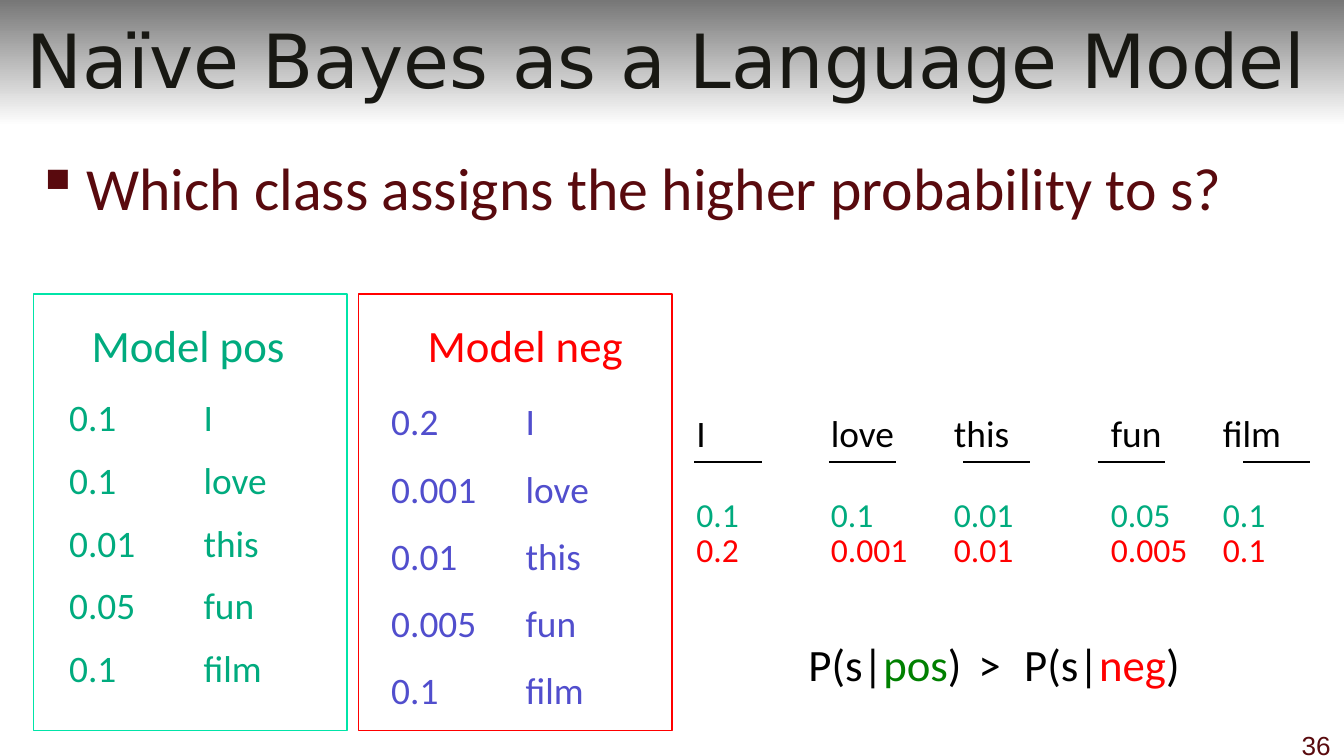
"""Build the slide that compares two naïve Bayes classes as language models."""
from dataclasses import dataclass

from lxml.etree import SubElement
from pptx import Presentation
from pptx.dml.color import RGBColor
from pptx.enum.shapes import MSO_CONNECTOR as Connector, MSO_SHAPE as Shape
from pptx.enum.text import MSO_ANCHOR as Anchor, PP_ALIGN as Align
from pptx.oxml.ns import qn
from pptx.util import Emu, Pt

SCALE = 9525
INCH = 96
COLORS = {
    "white": "FFFFFF", "black": "000000", "gray": "777777", "title": "181813",
    "maroon": "590A0E", "teal": "00AB7E", "mint": "00E4A8", "red": "FF0000",
    "green": "008000", "violet": "514ECD",
}
WORDS = ["I", "love", "this", "fun", "film"]
POSITIVE = ["0.1", "0.1", "0.01", "0.05", "0.1"]
NEGATIVE = ["0.2", "0.001", "0.01", "0.005", "0.1"]
COLUMN_LEFTS = [488, 584, 672, 784, 864]
RULE_LEFTS = [496, 592, 688, 784, 888]


@dataclass(frozen=True)
class Area:
    left: int
    top: int
    width: int
    height: int


@dataclass(frozen=True)
class Span:
    text: str
    color: str
    spacing: int = 0


@dataclass(frozen=True)
class Label:
    area: Area
    paragraphs: list[list[Span]]
    size: int
    font: str = "Calibri"
    align: Align = Align.LEFT
    anchor: Anchor = Anchor.TOP
    line_spacing: float = 1.0
    gap: float = 0
    tab: int = 0
    bullet: str = ""
    indent: int = 0


@dataclass(frozen=True)
class Frame:
    area: Area
    color: str


@dataclass(frozen=True)
class ScoreRow:
    top: int
    height: int
    size: int
    color: str
    values: list[str]


def px(value: int) -> Emu:
    """Turn pixels into EMU."""
    return Emu(value * SCALE)


def rgb(name: str) -> RGBColor:
    """Look up a named colour."""
    return RGBColor.from_string(COLORS[name])


def place(area: Area) -> tuple[Emu, ...]:
    """Give the position and size of an area in EMU."""
    return tuple(px(v) for v in (area.left, area.top, area.width, area.height))


def draw_label(page, label: Label) -> None:
    """Draw a text box with its paragraphs."""
    frame = page.shapes.add_textbox(*place(label.area)).text_frame
    frame.word_wrap = True
    frame.vertical_anchor = label.anchor
    for index, spans in enumerate(label.paragraphs):
        para = frame.add_paragraph() if index else frame.paragraphs[0]
        layout = {
            "alignment": label.align,
            "line_spacing": label.line_spacing,
            "space_before": Pt(label.gap if index else 0),
        }
        for name, value in layout.items():
            setattr(para, name, value)
        properties = para._p.get_or_add_pPr()
        if label.bullet:
            properties.set("marL", str(px(label.indent)))
            properties.set("indent", str(-px(label.indent)))
            SubElement(properties, qn("a:buChar"), char=label.bullet)
        if label.tab:
            tabs = SubElement(properties, qn("a:tabLst"))
            SubElement(tabs, qn("a:tab"), pos=str(px(label.tab)), algn="l")
        for span in spans:
            run = para.add_run()
            run.text = span.text
            for name, value in {"name": label.font, "size": Pt(label.size)}.items():
                setattr(run.font, name, value)
            run.font.color.rgb = rgb(span.color)
            if span.spacing:
                run._r.get_or_add_rPr().set("spc", str(span.spacing))


def draw_header(page, area: Area) -> None:
    """Draw the band that fades from gray to white."""
    band = page.shapes.add_shape(Shape.RECTANGLE, *place(area))
    band.shadow.inherit = False
    band.line.fill.background()
    band.fill.gradient()
    band.fill.gradient_angle = 270
    for stop, position, color in zip(band.fill.gradient_stops, (0, 1), ("gray", "white")):
        stop.position = position
        stop.color.rgb = rgb(color)


def draw_frame(page, frame: Frame) -> None:
    """Draw an unfilled outline around a model."""
    box = page.shapes.add_shape(Shape.RECTANGLE, *place(frame.area))
    box.shadow.inherit = False
    box.fill.background()
    box.line.color.rgb = rgb(frame.color)
    box.line.width = Pt(0.75)


def draw_rule(page, left: int, top: int, width: int) -> None:
    """Draw a thin horizontal rule."""
    rule = page.shapes.add_connector(
        Connector.STRAIGHT, px(left), px(top), px(left + width), px(top))
    rule.line.color.rgb = rgb("black")
    rule.line.width = Pt(0.75)
    SubElement(rule._element.spPr, qn("a:effectLst"))


def draw_scores(page, row: ScoreRow) -> None:
    """Draw one row of the sentence table."""
    for left, value in zip(COLUMN_LEFTS, row.values):
        area = Area(left, row.top, INCH, row.height)
        draw_label(page, Label(area, [[Span(value, row.color)]], row.size))


def word_list(values: list[str], color: str) -> list[list[Span]]:
    """Pair each probability with its word."""
    return [[Span(f"{value}\t{word}", color)] for value, word in zip(values, WORDS)]


def main() -> None:
    """Build and save the deck."""
    deck = Presentation()
    deck.slide_width, deck.slide_height = px(960), px(540)
    page = deck.slides.add_slide(deck.slide_layouts[6])

    comparison = [
        Span("P(s|", "black"), Span("pos", "green"), Span(")", "black"),
        Span(" > ", "black", 360),
        Span("P(s|", "black"), Span("neg", "red"), Span(")", "black"),
    ]
    labels = [
        Label(Area(8, 0, 936, 84), [[Span("Naïve Bayes as a Language Model", "title")]],
              40, "DejaVu Sans", Align.CENTER, Anchor.MIDDLE),
        Label(Area(16, 103, 928, 85),
              [[Span("Which class assigns the higher probability to s?", "maroon")]],
              32, bullet="▪", indent=36),
        Label(Area(40, 277, 200, 236), word_list(POSITIVE, "teal"), 20, gap=9.6, tab=INCH),
        Label(Area(270, 264, 200, 250), word_list(NEGATIVE, "violet"), 20,
              line_spacing=1.5, tab=INCH),
        Label(Area(56, 222, 168, 48), [[Span("Model pos", "teal")]], 24),
        Label(Area(296, 222, 168, 48), [[Span("Model neg", "red")]], 24),
        Label(Area(568, 450, 304, 48), [comparison], 24),
        Label(Area(912, 516, 48, 24), [[Span("36", "maroon")]], 14, "Arial", Align.RIGHT),
    ]
    frames = [Frame(Area(24, 210, 224, 312), "mint"), Frame(Area(256, 210, 224, 312), "red")]
    rows = [
        ScoreRow(288, 42, 20, "black", WORDS),
        ScoreRow(348, 38, 18, "teal", POSITIVE),
        ScoreRow(373, 38, 18, "red", NEGATIVE),
    ]

    draw_header(page, Area(0, 0, 960, 90))
    for label in labels:
        draw_label(page, label)
    for frame in frames:
        draw_frame(page, frame)
    for row in rows:
        draw_scores(page, row)
    for left in RULE_LEFTS:
        draw_rule(page, left, 330, 48)
    deck.save("out.pptx")


if __name__ == "__main__":
    main()
